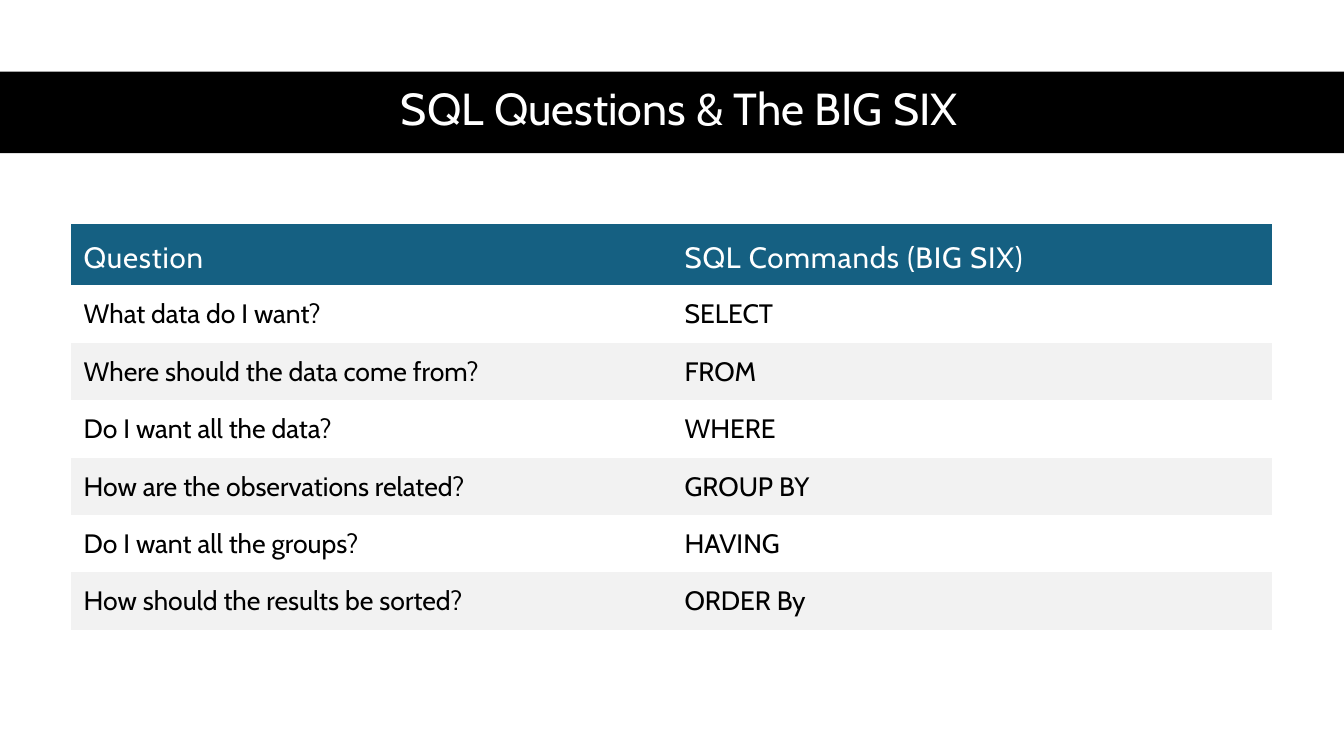
from dataclasses import dataclass

from pptx import Presentation
from pptx.dml.color import RGBColor
from pptx.enum.shapes import MSO_SHAPE
from pptx.enum.text import MSO_ANCHOR, MSO_AUTO_SIZE, PP_ALIGN
from pptx.util import Pt

RECT = MSO_SHAPE.RECTANGLE
TOP, MIDDLE = MSO_ANCHOR.TOP, MSO_ANCHOR.MIDDLE
LEFT, CENTER = PP_ALIGN.LEFT, PP_ALIGN.CENTER
NO_AUTOFIT = MSO_AUTO_SIZE.NONE

EMU_PER_PX = 9144  # 100 px to the inch
TITLE_ONLY = 5
PLAIN_TABLE_STYLE = "{2D5ABB26-0587-4C30-8999-92F81FD0307C}"


@dataclass(frozen=True)
class Theme:
    font: str = "Cabin"
    black: str = "000000"
    white: str = "FFFFFF"
    header: str = "156082"
    stripe: str = "F2F2F2"
    title_size: int = 32
    header_size: int = 21
    body_size: int = 19


THEME = Theme()

ROWS = [
    ("Question", "SQL Commands (BIG SIX)"),
    ("What data do I want?", "SELECT"),
    ("Where should the data come from?", "FROM"),
    ("Do I want all the data?", "WHERE"),
    ("How are the observations related?", "GROUP BY"),
    ("Do I want all the groups?", "HAVING"),
    ("How should the results be sorted?", "ORDER By"),
]


def px(n):
    return n * EMU_PER_PX


def write(tf, text, size, color, align=LEFT, line=None, tracking=0):
    """Put one formatted paragraph into a text frame."""
    p = tf.paragraphs[0]
    p.alignment = align
    p.line_spacing = line
    r = p.add_run()
    r.text = text
    r.font.name = THEME.font
    r.font.size = Pt(size)
    r.font.bold = False
    r.font.color.rgb = RGBColor.from_string(color)
    if tracking:
        r.font._element.set("spc", str(tracking))


def add_band(s, x, y, w, h, color):
    sp = s.shapes.add_shape(RECT, px(x), px(y), px(w), px(h))
    sp.shadow.inherit = False
    sp.fill.solid()
    sp.fill.fore_color.rgb = RGBColor.from_string(color)
    sp.line.fill.background()
    return sp


def set_title(s, text, x, y, w, h):
    sp = s.shapes.title
    sp.left, sp.top, sp.width, sp.height = px(x), px(y), px(w), px(h)
    tf = sp.text_frame
    tf.word_wrap = True
    tf.auto_size = NO_AUTOFIT
    tf.vertical_anchor = MIDDLE
    write(tf, text, THEME.title_size, THEME.white, align=CENTER, line=0.9)
    return sp


def fill_cell(cell, text, row):
    """Format a cell by its row: header first, then alternate stripes."""
    cell.margin_left = cell.margin_right = cell.margin_top = px(13)
    cell.margin_bottom = px(7)
    if row == 0:
        cell.vertical_anchor, color = MIDDLE, THEME.header
        write(cell.text_frame, text, THEME.header_size, THEME.white, tracking=60)
    else:
        cell.vertical_anchor = TOP
        color = None if row % 2 else THEME.stripe
        write(cell.text_frame, text, THEME.body_size, THEME.black)
    if color:
        cell.fill.solid()
        cell.fill.fore_color.rgb = RGBColor.from_string(color)
    else:
        cell.fill.background()


def add_question_table(s, rows, x, y, col_w, header_h, row_h):
    cols = len(rows[0])
    height = header_h + row_h * (len(rows) - 1)
    frame = s.shapes.add_table(len(rows), cols, px(x), px(y), px(col_w * cols), px(height))
    table = frame.table
    table.horz_banding = False
    table._tbl.tblPr[0].text = PLAIN_TABLE_STYLE
    for col in table.columns:
        col.width = px(col_w)
    for i, row in enumerate(rows):
        table.rows[i].height = px(row_h if i else header_h)
        for j, text in enumerate(row):
            fill_cell(table.cell(i, j), text, i)


def main():
    prs = Presentation()
    prs.slide_width, prs.slide_height = px(1333), px(750)
    s = prs.slides.add_slide(prs.slide_layouts[TITLE_ONLY])

    # Title on a black band, with the band behind it
    band = add_band(s, 0, 71, 1333, 81, THEME.black)
    title = set_title(s, "SQL Questions & The BIG SIX", 61, 70, 1226, 81)
    title._element.addprevious(band._element)

    # Questions and the commands that answer them
    add_question_table(s, ROWS, 70, 222, col_w=596, header_h=61, row_h=57)

    prs.save("out.pptx")


if __name__ == "__main__":
    main()
